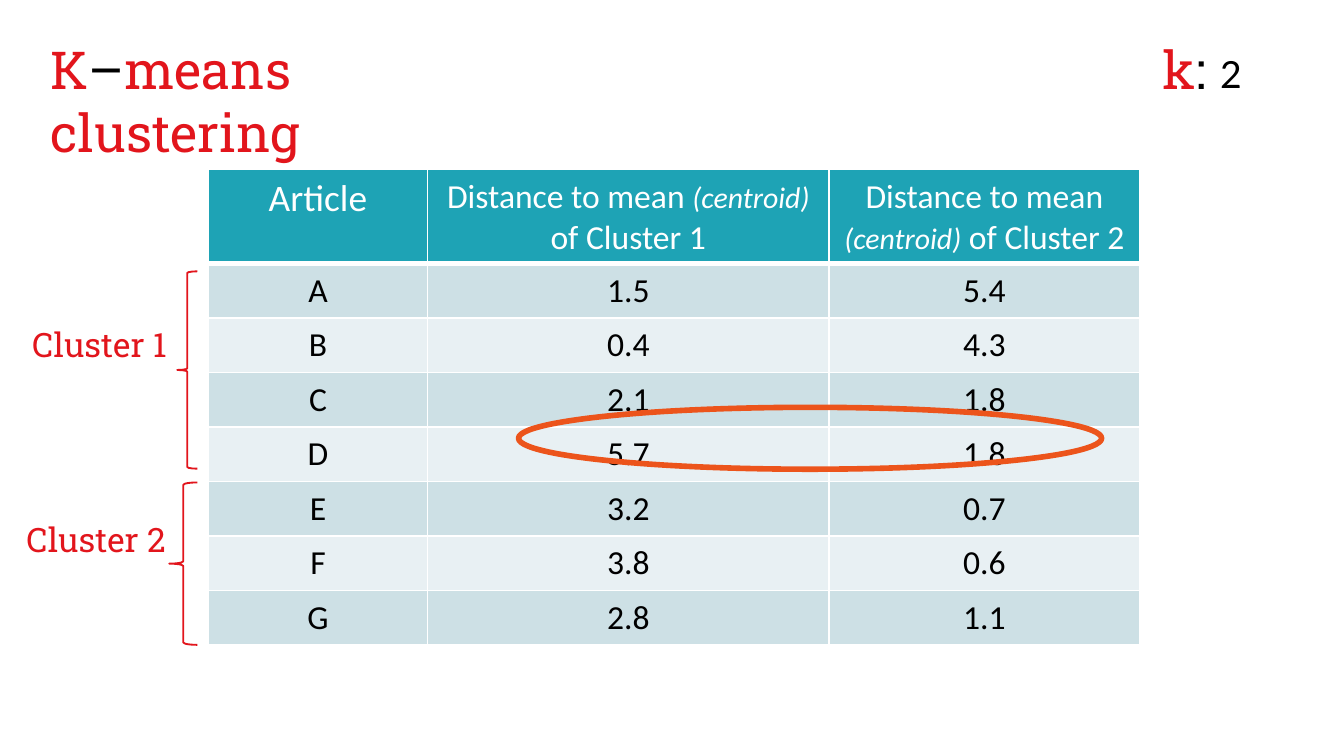
from lxml.etree import SubElement
from pptx import Presentation
from pptx.dml.color import RGBColor
from pptx.enum.shapes import MSO_SHAPE as SHAPE
from pptx.enum.text import MSO_ANCHOR as ANCHOR, PP_ALIGN as ALIGN
from pptx.oxml.ns import qn
from pptx.util import Cm, Pt

RED, TEAL, ORANGE = "E2151C", "1EA3B5", "EC541B"
WHITE, BLACK = "FFFFFF", "000000"
BANDS = ("CDE0E5", "E8F0F3")
SLAB, LATO, CALIBRI = "Roboto Slab", "Lato", "Calibri"
DISTANCES = [
    ("A", "1.5", "5.4"),
    ("B", "0.4", "4.3"),
    ("C", "2.1", "1.8"),
    ("D", "5.7", "1.8"),
    ("E", "3.2", "0.7"),
    ("F", "3.8", "0.6"),
    ("G", "2.8", "1.1"),
]


def rgb(value):
    """Turn a hex string into a colour."""
    return RGBColor.from_string(value)


def add_run(p, text, size=18, font=CALIBRI, color=BLACK, italic=False):
    """Append a formatted run to a paragraph."""
    r = p.add_run()
    r.text = text
    r.font.size, r.font.name = Pt(size), font
    r.font.bold, r.font.italic = False, italic
    r.font.color.rgb = rgb(color)


def add_text(s, box, parts, **fmt):
    """Add a text box whose parts are (text, colour) pairs."""
    tf = s.shapes.add_textbox(*map(Cm, box)).text_frame
    tf.word_wrap = True
    tf.vertical_anchor = ANCHOR.TOP
    for text, color in parts:
        add_run(tf.paragraphs[0], text, color=color, **fmt)


def add_outline(s, kind, box, color, width):
    """Add an unfilled preset shape."""
    sp = s.shapes.add_shape(kind, *map(Cm, box))
    sp.shadow.inherit = False
    sp.fill.background()
    sp.line.color.rgb = rgb(color)
    sp.line.width = Pt(width)


def set_borders(cell, top=1, bottom=1):
    """Draw white borders round a table cell."""
    tc_pr = cell._tc.get_or_add_tcPr()
    for side, width in (("L", 1), ("R", 1), ("T", top), ("B", bottom)):
        ln = SubElement(tc_pr, qn(f"a:ln{side}"), w=str(Pt(width)))
        fill = SubElement(ln, qn("a:solidFill"))
        SubElement(fill, qn("a:srgbClr"), val=WHITE)


def fill_cell(cell, parts, fill, color, **borders):
    """Format a cell and write its (text, size, italic) parts."""
    set_borders(cell, **borders)
    cell.fill.solid()
    cell.fill.fore_color.rgb = rgb(fill)
    p = cell.text_frame.paragraphs[0]
    p.alignment = ALIGN.CENTER
    for text, size, italic in parts:
        add_run(p, text, size=size, italic=italic, color=color)


def add_distance_table(s):
    """Add the table of distances to both centroids."""
    rows = len(DISTANCES) + 1
    frame = s.shapes.add_table(rows, 3, Cm(3.94), Cm(3.2), Cm(17.6), Cm(1.03 * rows))
    table = frame.table
    table.first_row = table.horz_banding = False
    for column, width in zip(table.columns, (4.14, 7.59, 5.87)):
        column.width = Cm(width)
    header = [[("Article", 20, False)]] + [
        [("Distance to mean ", 18, False), ("(centroid)", 16, True),
         (f" of Cluster {n}", 18, False)]
        for n in (1, 2)
    ]
    for col, parts in enumerate(header):
        fill_cell(table.cell(0, col), parts, TEAL, WHITE, bottom=3)
    for row, values in enumerate(DISTANCES, 1):
        for col, value in enumerate(values):
            fill_cell(table.cell(row, col), [(value, 18, False)],
                      BANDS[(row - 1) % 2], BLACK, top=3 if row == 1 else 1)


def main():
    """Build and save the slide."""
    prs = Presentation()
    prs.slide_width, prs.slide_height = Cm(25.4), Cm(14.29)
    s = prs.slides.add_slide(prs.slide_layouts[6])
    title = [("K", RED), ("–", BLACK), ("means clustering", RED)]
    add_text(s, (0.71, 0.58, 9.53, 1.75), title, size=28, font=SLAB)
    add_text(s, (21.72, 0.58, 1.6, 1.37), [("k", RED), (":", BLACK)], size=28, font=SLAB)
    add_text(s, (22.81, 0.84, 1.04, 1.12), [("2", BLACK)], size=20, font=LATO)
    add_distance_table(s)
    add_text(s, (0.36, 5.99, 3.3, 1.02), [("Cluster 1", RED)], font=SLAB)
    add_text(s, (0.25, 9.68, 3.45, 1.02), [("Cluster 2", RED)], font=SLAB)
    add_outline(s, SHAPE.LEFT_BRACE, (3.35, 5.13, 0.38, 3.73), RED, 1)
    add_outline(s, SHAPE.LEFT_BRACE, (3.2, 9.12, 0.53, 3.07), RED, 1)
    add_outline(s, SHAPE.OVAL, (9.8, 7.7, 11.02, 1.17), ORANGE, 3)
    prs.save("out.pptx")


if __name__ == "__main__":
    main()
